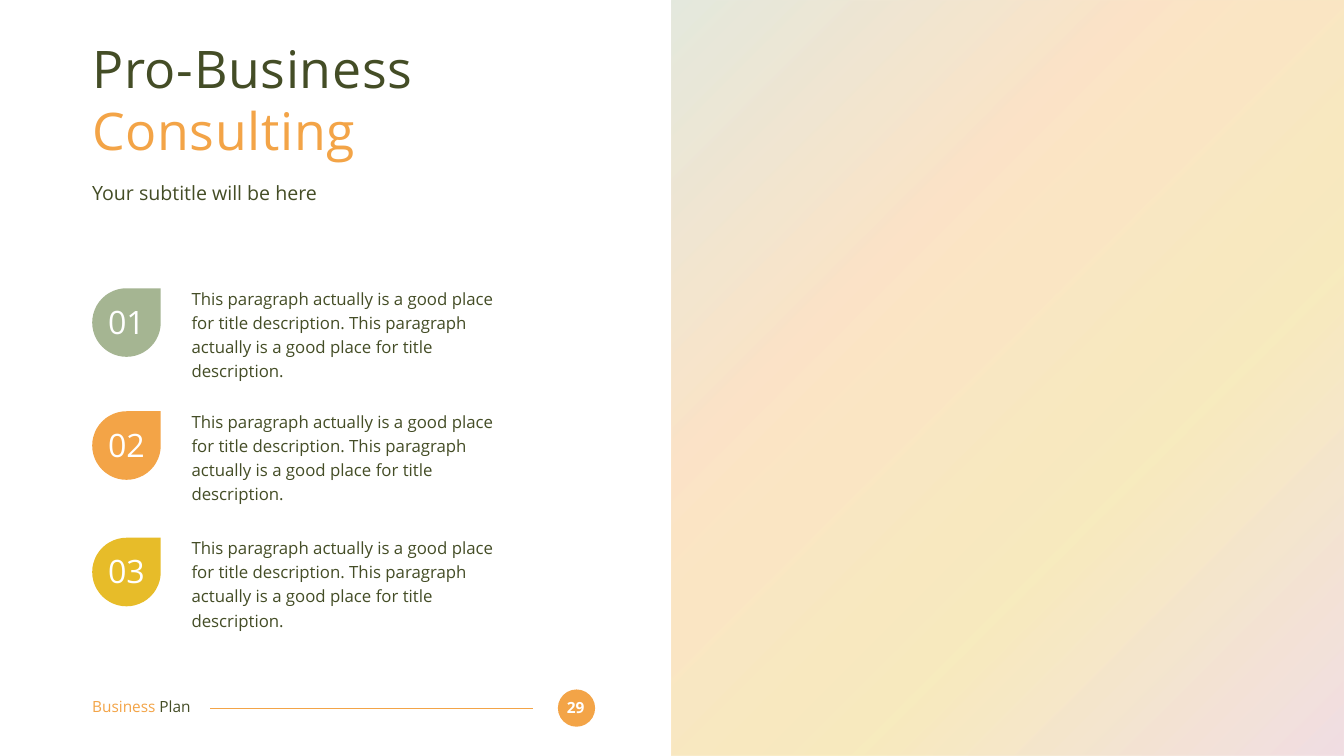
"""Build the consulting slide: heading, three numbered points, footer and gradient panel."""
from lxml.etree import SubElement
from pptx import Presentation
from pptx.dml.color import RGBColor
from pptx.enum.shapes import MSO_CONNECTOR, MSO_SHAPE
from pptx.enum.text import MSO_ANCHOR, PP_ALIGN
from pptx.oxml import parse_xml
from pptx.oxml.ns import nsdecls, qn
from pptx.util import Inches, Pt

THEME = {
    "font": "Open Sans",
    "dark": "444D26", "white": "FFFFFF", "sage": "A5B592",
    "orange": "F3A447", "gold": "E7BC29", "rose": "D092A7",
    "title": 74, "subtitle": 28, "number": 46, "body": 24, "footer": 22,
}

prs = Presentation()
prs.slide_width, prs.slide_height = Inches(26.67), Inches(15)
COL, ROW = prs.slide_width / 100, prs.slide_height / 100
LEFT = 6.86
s = prs.slides.add_slide(prs.slide_layouts[6])


def add_shape(kind, x, y, w, h, color):
    sp = s.shapes.add_shape(kind, int(x * COL), int(y * ROW), int(w * COL), int(h * ROW))
    sp.shadow.inherit = False
    sp.line.fill.background()
    sp.fill.solid()
    sp.fill.fore_color.rgb = RGBColor.from_string(THEME[color])
    return sp


def add_text(x, y, w, h, runs, size, align=PP_ALIGN.LEFT, spacing=1.0, bold=False):
    sp = s.shapes.add_textbox(int(x * COL), int(y * ROW), int(w * COL), int(h * ROW))
    tf = sp.text_frame
    frame = {"word_wrap": True, "vertical_anchor": MSO_ANCHOR.TOP, "margin_left": 0,
             "margin_right": 0, "margin_top": 0, "margin_bottom": 0}
    for name, value in frame.items():
        setattr(tf, name, value)
    p = tf.paragraphs[0]
    p.alignment, p.line_spacing = align, spacing
    for text, color in runs:
        r = p.add_run()
        r.text = text
        for name, value in {"name": THEME["font"], "size": Pt(THEME[size]), "bold": bold}.items():
            setattr(r.font, name, value)
        r.font.color.rgb = RGBColor.from_string(THEME[color])
    return p


add_shape(MSO_SHAPE.OVAL, 41.51, 91.2, 2.77, 4.93, "orange")
add_text(41.73, 92.33, 2.21, 2.47, [("29", "white")], "footer", PP_ALIGN.CENTER, bold=True)
rule = s.shapes.add_connector(MSO_CONNECTOR.STRAIGHT, int(39.63 * COL), int(93.67 * ROW),
                              int(15.6 * COL), int(93.67 * ROW))
rule.line.color.rgb = RGBColor.from_string(THEME["orange"])
rule.line.width = Pt(1.5)
SubElement(rule._element.spPr, qn("a:effectLst"))
add_text(LEFT, 92.27, 9.71, 2.47, [("Business ", "orange"), ("Plan", "dark")], "footer")

panel = add_shape(MSO_SHAPE.RECTANGLE, 50, 0, 50, 100, "sage")
stops = "".join(
    f'<a:gs pos="{pos}000"><a:srgbClr val="{THEME[color]}"><a:alpha val="30000"/></a:srgbClr></a:gs>'
    for pos, color in ((0, "sage"), (33, "orange"), (66, "gold"), (100, "rose")))
gradient = parse_xml(f'<a:gradFill {nsdecls("a")} rotWithShape="1"><a:gsLst>{stops}</a:gsLst>'
                     '<a:lin ang="2700000" scaled="0"/></a:gradFill>')
solid = panel._element.spPr.find(qn("a:solidFill"))
solid.getparent().replace(solid, gradient)

heading = add_text(LEFT, 4.87, 37.12, 16.8,
                   [("Pro-Business ", "dark"), ("Consulting", "orange")], "title")
for r in heading.runs:
    r.font._element.set("spc", "100")
add_text(LEFT, 23.93, 37.12, 3.27, [("Your subtitle will be here", "dark")], "subtitle")

sentence = "This paragraph actually is a good place for title description."
points = ((38.13, "sage"), (54.4, "orange"), (71.13, "gold"))
for i, (top, color) in enumerate(points, 1):
    add_text(14.25, top - 0.53, 23.55, 9.47, [(f"{sentence} {sentence}", "dark")], "body", spacing=1.2)
    add_shape(MSO_SHAPE.TEAR, LEFT, top, 5.1, 9.07, color)
    add_text(7.35, top + 1.8, 4.12, 5.13, [(f"{i:02}", "white")], "number", PP_ALIGN.CENTER)

prs.save("out.pptx")
